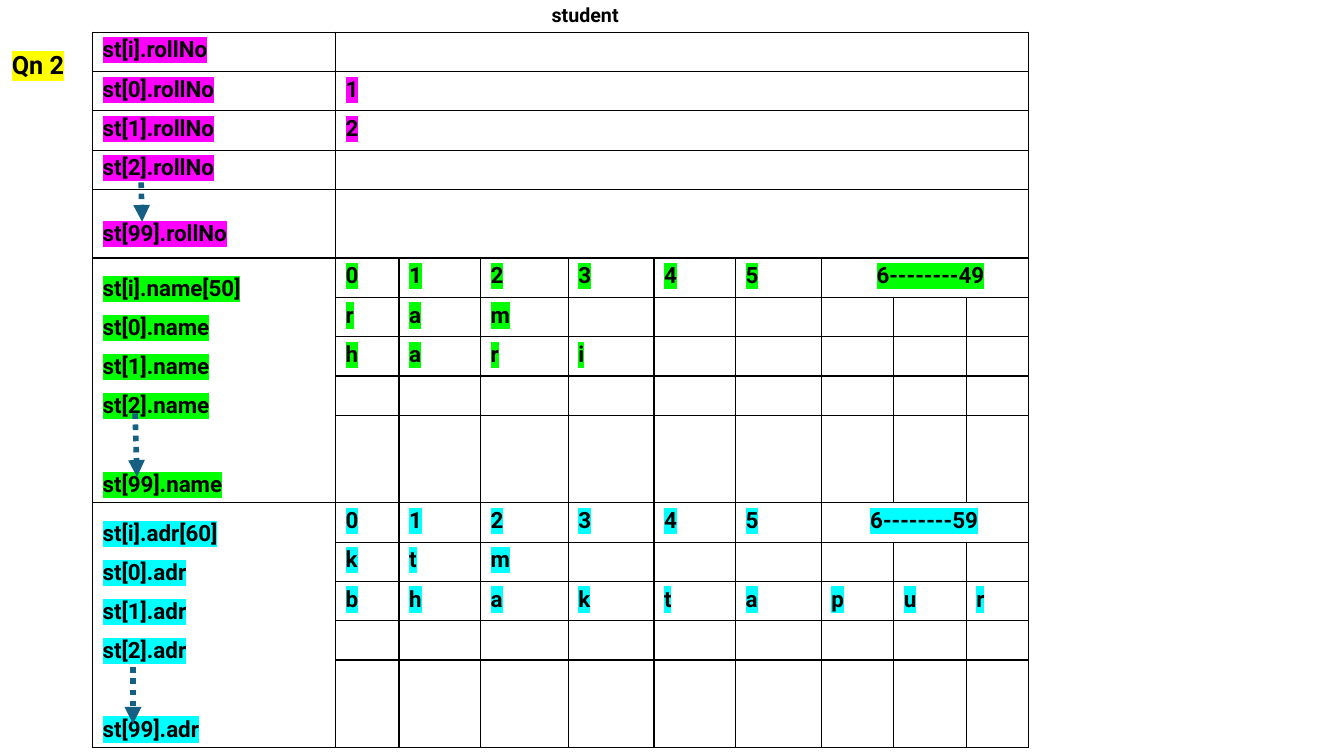
from dataclasses import dataclass

from lxml.etree import SubElement
from pptx import Presentation
from pptx.dml.color import RGBColor
from pptx.enum.dml import MSO_LINE
from pptx.enum.shapes import MSO_CONNECTOR
from pptx.enum.text import MSO_ANCHOR, PP_ALIGN
from pptx.oxml import parse_xml
from pptx.oxml.ns import nsdecls, qn
from pptx.util import Pt


@dataclass(frozen=True)
class Theme:
    font: str = "Roboto"
    ink: str = "000000"
    arrow: str = "156082"
    question: str = "FFFF00"
    roll: str = "FF00FF"
    name: str = "00FF00"
    address: str = "00FFFF"
    title_size: int = 14
    cell_size: int = 16
    question_size: int = 18


T = Theme()
TITLE = "student"
QUESTION = "Qn 2"
ROLLS = [("st[i].rollNo", ""), ("st[0].rollNo", "1"), ("st[1].rollNo", "2"),
         ("st[2].rollNo", ""), ("st[99].rollNo", "")]
ARRAYS = [
    (["st[i].name[50]", "st[0].name", "st[1].name", "st[2].name", "st[99].name"],
     "6--------49", ["ram", "hari"], T.name, 39.5),
    (["st[i].adr[60]", "st[0].adr", "st[1].adr", "st[2].adr", "st[99].adr"],
     "6--------59", ["ktm", "bhaktapur"], T.address, 35),
]
INDEXES = "012345"
ARROWS = [(100.8, 130.3, 101.5, 158.4), (96.5, 295.2, 97.9, 340.6),
          (95, 476.6, 95, 517)]

COLS = [173.5, 45.4, 58.3, 62.6, 61.2, 58.3, 61.2, 51.8, 51.8, 44.4]
ROW, ROLL_END, ARRAY_END = 28.1, 49, 62
ROWS = [ROW] * 4 + [ROLL_END] + ([ROW] * 4 + [ARRAY_END]) * 2
LEFT, TOP = 66.2, 23
ROLL_GAP, ELLIPSIS_GAP = 22.3, 28.1


def write(p, text, size=T.cell_size, mark=None, align=None, spacing=None, before=None):
    """Add one bold run to a paragraph, with an optional highlight."""
    p.alignment, p.line_spacing = align, spacing
    if before:
        p.space_before = Pt(before)
    r = p.add_run()
    r.text = text
    r.font.size, r.font.bold = Pt(size), True
    r.font.color.rgb = RGBColor.from_string(T.ink)
    if mark:
        hl = SubElement(r.font._element, qn("a:highlight"))
        SubElement(hl, qn("a:srgbClr"), val=mark)
    r.font.name = T.font


def place(sp, x, y, w, h):
    """Set the frame of a shape in points."""
    sp.left, sp.top, sp.width, sp.height = Pt(x), Pt(y), Pt(w), Pt(h)


def style_cell(cell):
    """Give a cell thin borders, no fill and the common text size."""
    cell.fill.background()
    tcPr = cell._tc.get_or_add_tcPr()
    for i, side in enumerate(("lnL", "lnR", "lnT", "lnB")):
        tcPr.insert(i, parse_xml(
            f'<a:{side} {nsdecls("a")} w="12700"><a:solidFill>'
            f'<a:srgbClr val="{T.ink}"/></a:solidFill></a:{side}>'))
    if not cell.text_frame.text:
        SubElement(cell.text_frame.paragraphs[0]._p, qn("a:endParaRPr"),
                   sz=str(T.cell_size * 100))


def fill_rolls(table):
    """Write the roll number rows, each with one wide value cell."""
    for row, (label, value) in enumerate(ROLLS):
        table.cell(row, 1).merge(table.cell(row, len(COLS) - 1))
        for col, text in enumerate((label, value)):
            if text:
                write(table.cell(row, col).text_frame.paragraphs[0], text, mark=T.roll)
    table.cell(len(ROLLS) - 1, 0).margin_top = Pt(ROLL_GAP)


def fill_array(table, top, labels, rest, words, mark, indent):
    """Write one character array: labels, index row and words."""
    table.cell(top, 0).merge(table.cell(top + 4, 0))
    tf = table.cell(top, 0).text_frame
    for i, label in enumerate(labels):
        p = tf.add_paragraph() if i else tf.paragraphs[0]
        write(p, label, mark=mark, spacing=1.5,
              before=ELLIPSIS_GAP if label == labels[-1] else None)
    for row, chars in enumerate([INDEXES, *words], top):
        for col, char in enumerate(chars, 1):
            write(table.cell(row, col).text_frame.paragraphs[0], char, mark=mark)
    cell = table.cell(top, len(INDEXES) + 1)
    cell.merge(table.cell(top, len(COLS) - 1))
    cell.margin_left = Pt(indent)
    write(cell.text_frame.paragraphs[0], rest, mark=mark)


def add_table(s):
    """Add the memory table."""
    table = s.shapes.add_table(len(ROWS), len(COLS), Pt(LEFT), Pt(TOP),
                               Pt(sum(COLS)), Pt(sum(ROWS))).table
    table.first_row = table.horz_banding = False
    for col, width in zip(table.columns, COLS):
        col.width = Pt(width)
    for row, height in zip(table.rows, ROWS):
        row.height = Pt(height)
    fill_rolls(table)
    for i, array in enumerate(ARRAYS, 1):
        fill_array(table, i * len(ROLLS), *array)
    for cell in table.iter_cells():
        style_cell(cell)


def add_arrow(s, x1, y1, x2, y2):
    """Add a dotted arrow."""
    cx = s.shapes.add_connector(MSO_CONNECTOR.STRAIGHT, Pt(x1), Pt(y1), Pt(x2), Pt(y2))
    cx.line.color.rgb = RGBColor.from_string(T.arrow)
    cx.line.width = Pt(4)
    cx.line.dash_style = MSO_LINE.ROUND_DOT
    SubElement(cx.line._get_or_add_ln(), qn("a:tailEnd"), type="triangle")
    SubElement(cx._element.spPr, qn("a:effectLst"))


def main():
    """Build and save the slide."""
    prs = Presentation()
    prs.slide_width, prs.slide_height = Pt(960), Pt(540)
    s = prs.slides.add_slide(prs.slide_layouts[5])
    title = s.shapes.title
    place(title, 368, 0, 100, 21)
    title.text_frame.vertical_anchor = MSO_ANCHOR.MIDDLE
    write(title.text_frame.paragraphs[0], TITLE, size=T.title_size, align=PP_ALIGN.CENTER)
    add_table(s)
    sp = s.shapes.add_textbox(Pt(1.4), Pt(31.7), Pt(52), Pt(29))
    sp.text_frame.word_wrap = False
    write(sp.text_frame.paragraphs[0], QUESTION, size=T.question_size, mark=T.question)
    for arrow in ARROWS:
        add_arrow(s, *arrow)
    prs.save("out.pptx")


if __name__ == "__main__":
    main()
